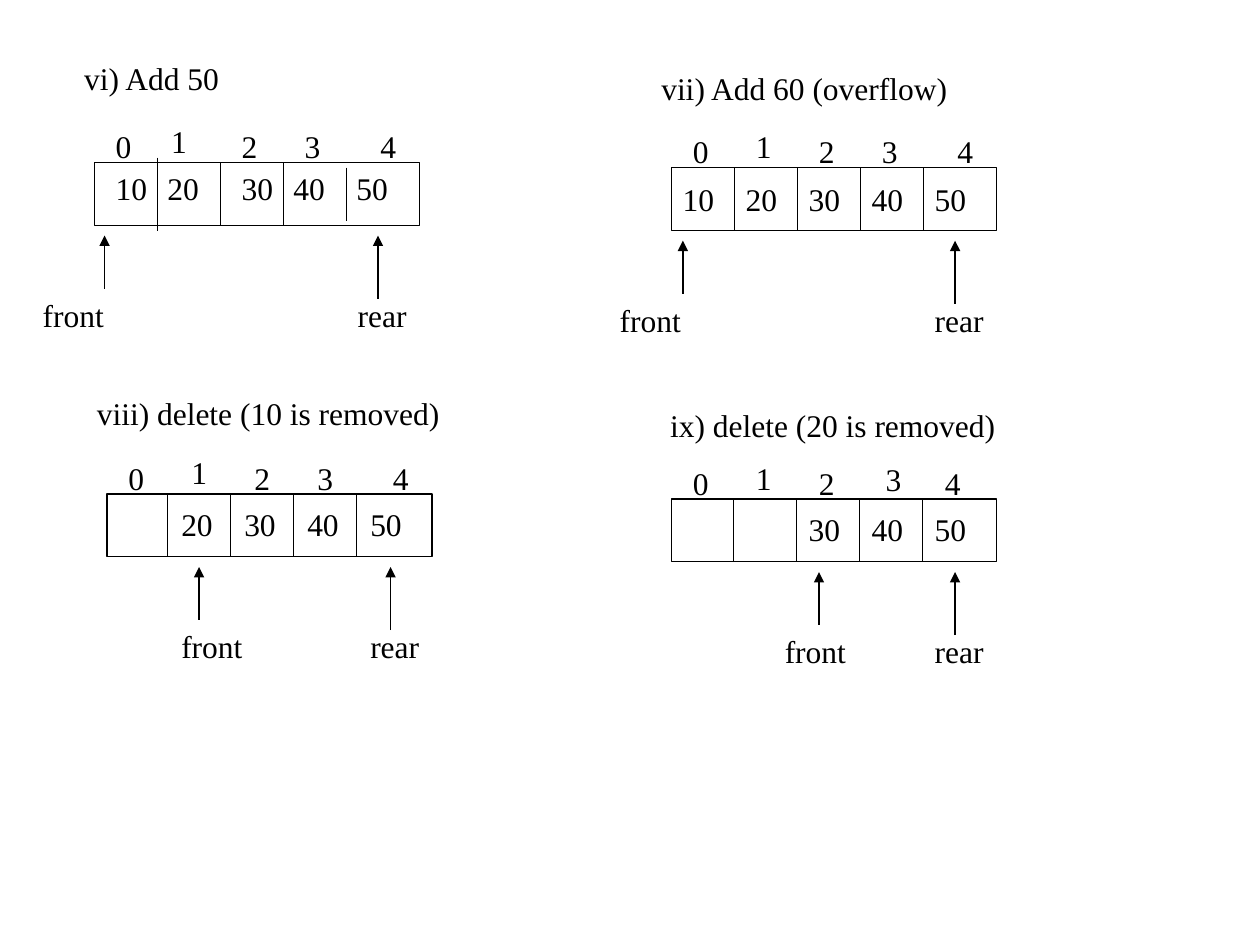
import pptx
import pptx.util
import pptx.dml.color
import pptx.enum.shapes
import pptx.enum.text
import pptx.oxml.ns
import lxml.etree
from pptx.util import Inches

THEME = {
    "font": "Times New Roman",
    "size": pptx.util.Pt(18),
    "ink": pptx.dml.color.RGBColor(0, 0, 0),
    "line": pptx.util.Pt(0.75),
}
CELL, QUEUE_WIDTH, QUEUE_HEIGHT = 0.5, 2.58, 0.5
TEXT_HEIGHT, INDEX_WIDTH, VALUE_WIDTH = 0.4, 0.32, 0.45
POINTER_LEFT, POINTER_TOP, POINTER_WIDTH = -0.51, 1.01, 3.09
REAR_X, REAR_TAB = 2.25, 2.5


def steps(start, count=5):
    return [start + CELL * position for position in range(count)]


def index_places(last=2.17, third=(1.57, -0.33), second=0.57):
    return [(0.07, -0.33), (second, -0.37), (1.07, -0.33), third, (last, -0.33)]


FULL_HEIGHT = [(0, QUEUE_HEIGHT)] * 4

# Every place below is measured in inches from the top left corner of its queue.
QUEUES = [
    {
        "origin": (0.75, 1.29),
        "title": ("vi) Add 50", -0.18, -0.87, 1.28),
        "values": ["10", "20", "30", "40", "50"],
        "value_lefts": [0.07, 0.48, 1.07, 1.48, 1.98], "value_top": 0,
        "indices": index_places(second=0.51),
        "divider_start": 0.5,
        "dividers": [(-0.04, 0.54), (0, 0.5), (0, 0.5), (0.04, 0.46)],
        "front_x": 0.08, "front_tab": None,
    },
    {
        "origin": (5.33, 1.33),
        "title": ("vii) Add 60 (overflow)", -0.18, -0.83, 2.48),
        "values": ["10", "20", "30", "40", "50"],
        "value_lefts": steps(-0.01), "value_top": 0.05,
        "indices": index_places(),
        "divider_start": 0.5, "dividers": FULL_HEIGHT,
        "front_x": 0.09, "front_tab": None,
    },
    {
        "origin": (0.85, 3.92),
        "title": ("viii) delete (10 is removed)", -0.18, -0.84, 2.92),
        "values": ["", "20", "30", "40", "50"],
        "value_lefts": steps(-0.01), "value_top": 0.04,
        "indices": index_places(),
        "divider_start": 0.48, "dividers": FULL_HEIGHT,
        "front_x": 0.73, "front_tab": 1.0,
    },
    {
        "origin": (5.33, 3.96),
        "title": ("ix) delete (20 is removed)", -0.11, -0.79, 2.78),
        "values": ["", "", "30", "40", "50"],
        "value_lefts": steps(-0.01), "value_top": 0.04,
        "indices": index_places(last=2.07, third=(1.6, -0.36)),
        "divider_start": 0.49, "dividers": FULL_HEIGHT,
        "front_x": 1.17, "front_tab": 1.31,
    },
]


def add_text(slide, text, left, top, width, tabs=()):
    """Add one line of text, with left tab stops at the given inches."""
    box = slide.shapes.add_textbox(
        Inches(left), Inches(top), Inches(width), Inches(TEXT_HEIGHT))
    frame = box.text_frame
    frame.word_wrap = bool(tabs)
    frame.auto_size = pptx.enum.text.MSO_AUTO_SIZE.SHAPE_TO_FIT_TEXT
    frame.text = text
    paragraph = frame.paragraphs[0]
    if tabs:
        properties = paragraph._p.get_or_add_pPr()
        tab_list = lxml.etree.SubElement(
            properties, pptx.oxml.ns.qn("a:tabLst"))
        for position in tabs:
            lxml.etree.SubElement(
                tab_list, pptx.oxml.ns.qn("a:tab"),
                pos=str(Inches(position)), algn="l")
    for run in paragraph.runs:
        run.font.name = THEME["font"]
        run.font.size = THEME["size"]
        run.font.color.rgb = THEME["ink"]


def add_line(slide, x, start_y, end_y, arrow=False):
    line = slide.shapes.add_connector(
        pptx.enum.shapes.MSO_CONNECTOR.STRAIGHT,
        Inches(x), Inches(start_y), Inches(x), Inches(end_y))
    line.line.color.rgb = THEME["ink"]
    line.line.width = THEME["line"]
    if arrow:
        lxml.etree.SubElement(
            line.line._get_or_add_ln(), pptx.oxml.ns.qn("a:tailEnd"),
            type="triangle")
    lxml.etree.SubElement(
        line._element.spPr, pptx.oxml.ns.qn("a:effectLst"))


def add_queue(slide, queue):
    left, top = queue["origin"]
    outline = slide.shapes.add_shape(
        pptx.enum.shapes.MSO_SHAPE.RECTANGLE, Inches(left), Inches(top),
        Inches(QUEUE_WIDTH), Inches(QUEUE_HEIGHT))
    outline.shadow.inherit = False
    outline.fill.background()
    outline.line.color.rgb = THEME["ink"]
    outline.line.width = THEME["line"]

    divider_xs = steps(queue["divider_start"], 4)
    for x, (start, end) in zip(divider_xs, queue["dividers"]):
        add_line(slide, left + x, top + start, top + end)

    title, title_x, title_y, title_width = queue["title"]
    add_text(slide, title, left + title_x, top + title_y, title_width)
    for index, (x, y) in enumerate(queue["indices"]):
        add_text(slide, str(index), left + x, top + y, INDEX_WIDTH)
    for value, x in zip(queue["values"], queue["value_lefts"]):
        if value:
            add_text(slide, value, left + x, top + queue["value_top"],
                     VALUE_WIDTH)

    add_line(slide, left + queue["front_x"], top + 1, top + 0.58, arrow=True)
    add_line(slide, left + REAR_X, top + 1.08, top + 0.58, arrow=True)
    labels, tabs = "front\trear", [REAR_TAB]
    if queue["front_tab"]:
        labels, tabs = "\t" + labels, [queue["front_tab"], REAR_TAB]
    add_text(slide, labels, left + POINTER_LEFT, top + POINTER_TOP,
             POINTER_WIDTH, tabs)


def main():
    presentation = pptx.Presentation()
    presentation.slide_width = Inches(10)
    presentation.slide_height = Inches(7.5)
    slide = presentation.slides.add_slide(presentation.slide_layouts[6])
    for queue in QUEUES:
        add_queue(slide, queue)
    presentation.save("out.pptx")


if __name__ == "__main__":
    main()
